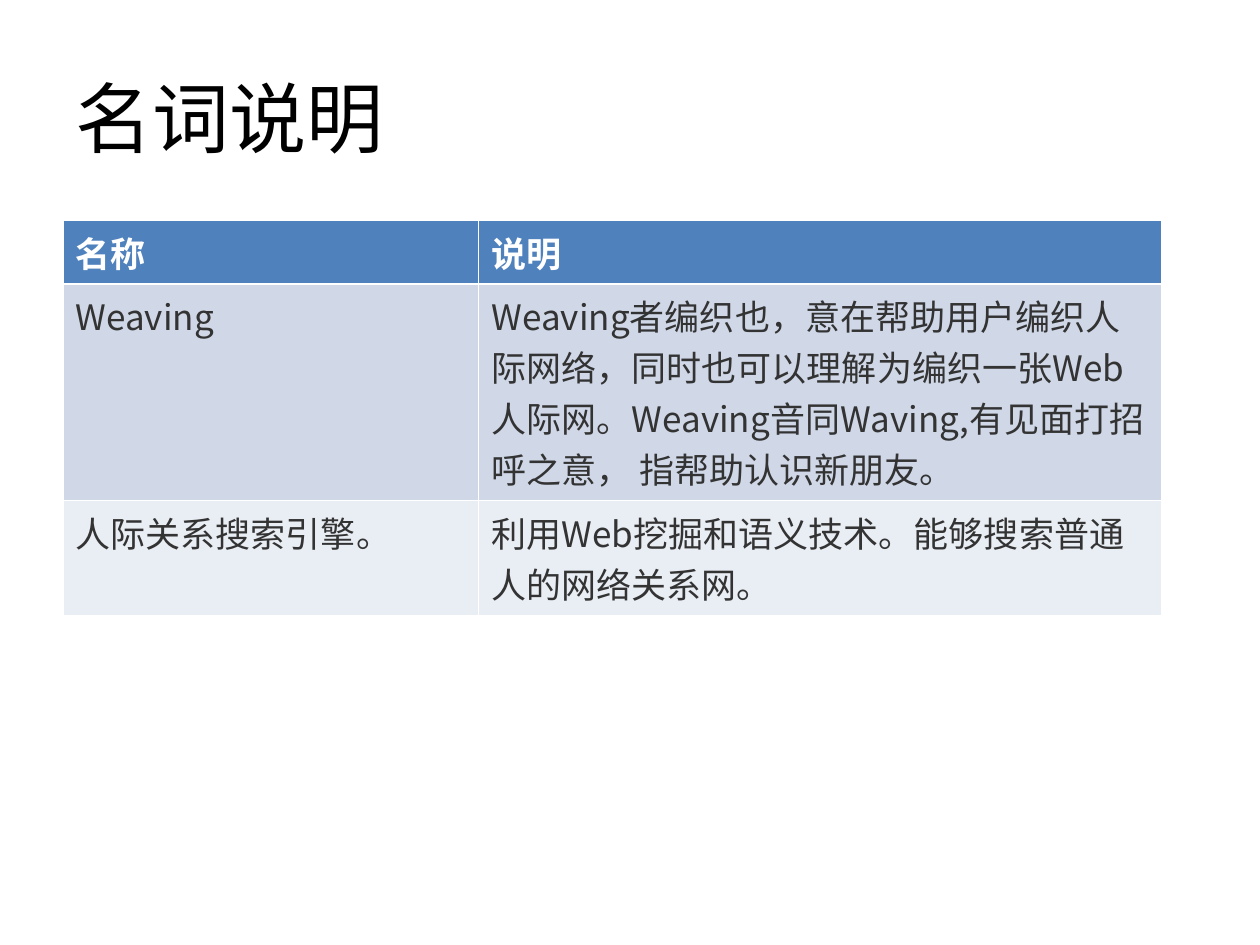
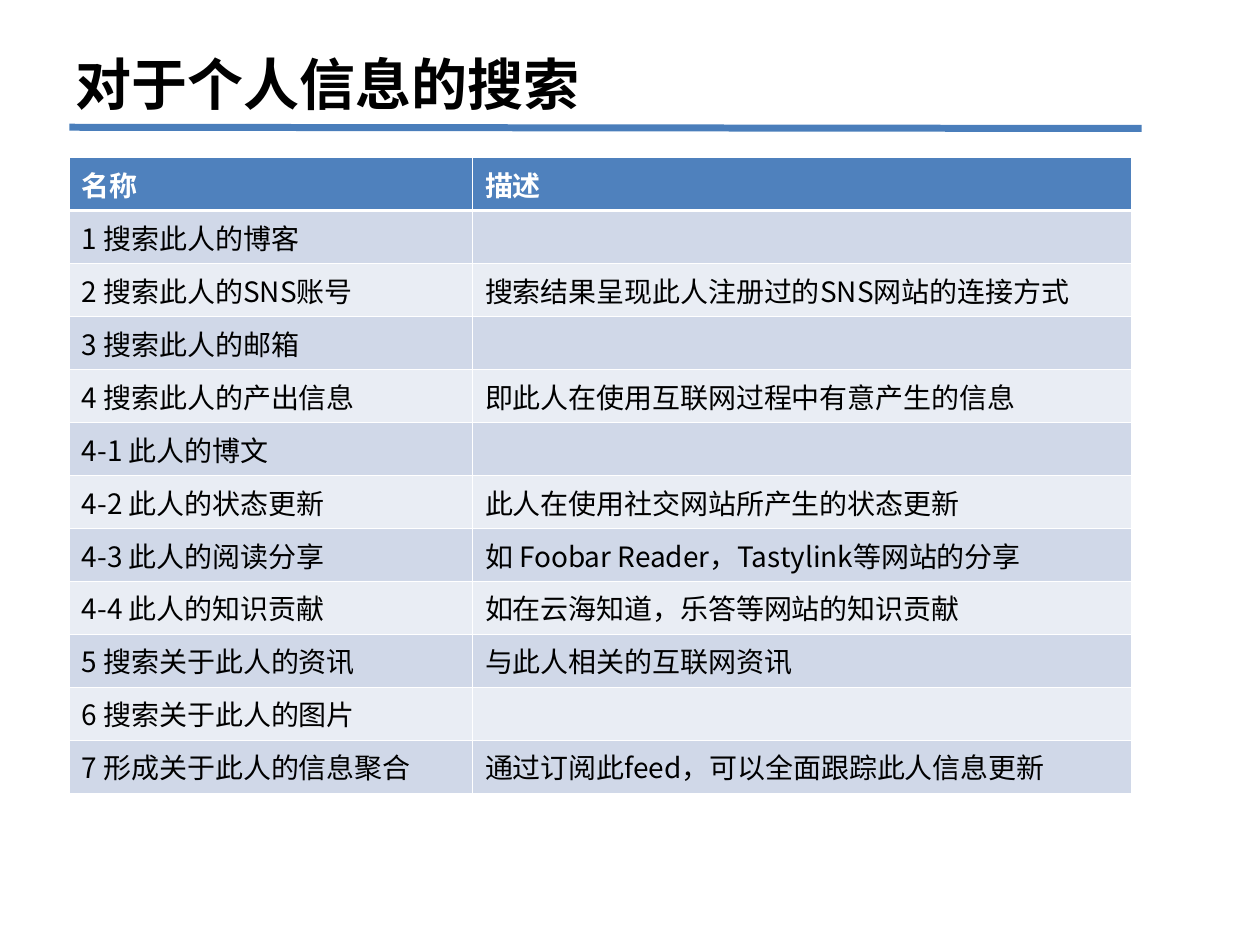
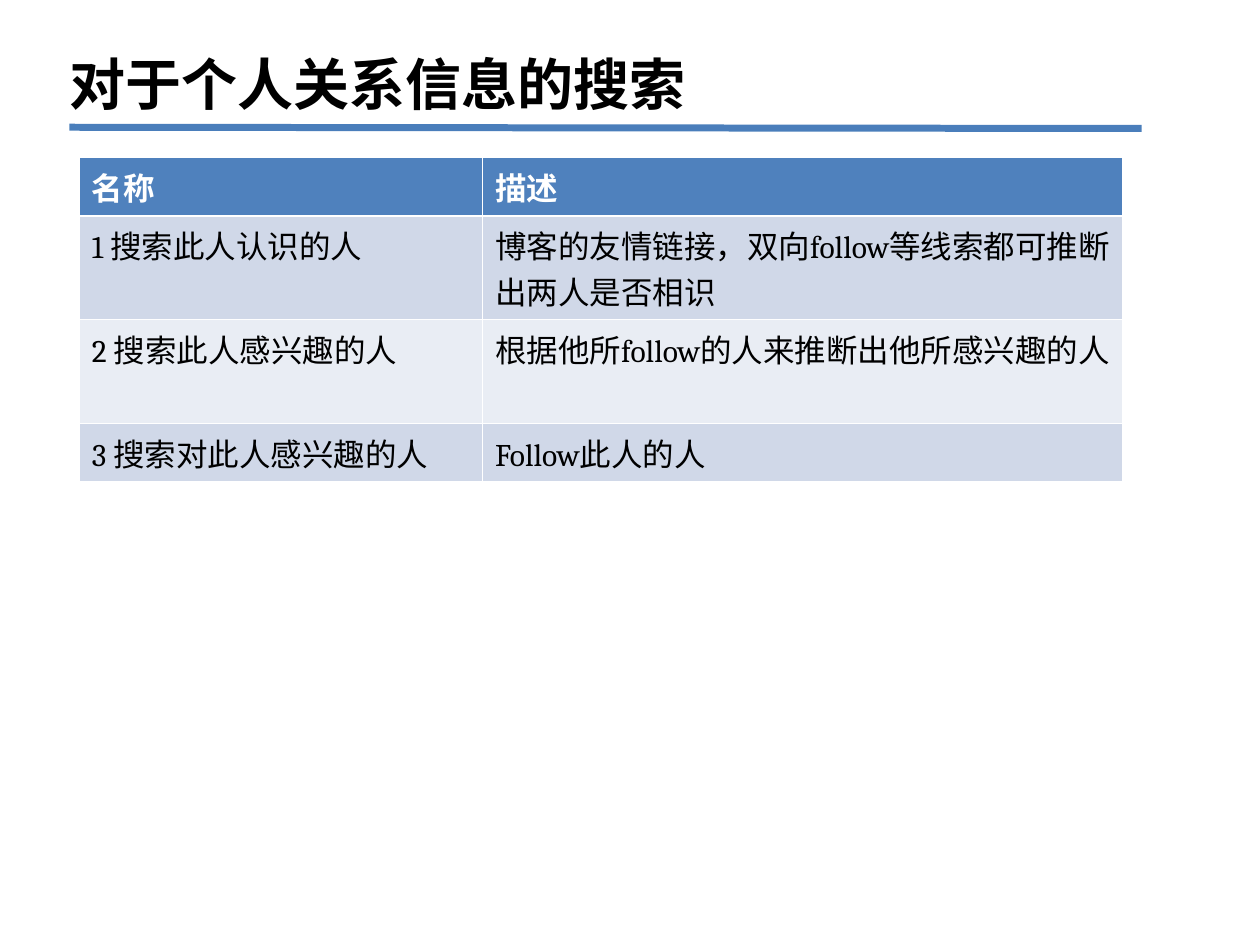
import pptx
import pptx.util
import pptx.dml.color
import pptx.enum.shapes
import pptx.enum.text
import pptx.oxml.ns
import lxml.etree

Inches = pptx.util.Inches
Pt = pptx.util.Pt
qn = pptx.oxml.ns.qn

NOTO = "Noto Sans CJK SC"
BLACK = "000000"
WHITE = "FFFFFF"
HEAD = "4F81BD"
BANDS = ("D0D8E8", "E9EDF4")
RULE = "4A7EBB"


def color(code):
    return pptx.dml.color.RGBColor.from_string(code)


class Deck:
    def __init__(self):
        self.prs = pptx.Presentation()
        self.prs.slide_width = Inches(10)
        self.prs.slide_height = Inches(7.5)
        self.slide = None

    def start(self):
        self.slide = self.prs.slides.add_slide(self.prs.slide_layouts[5])

    def add_text(self, para, text, size, font, ink, bold=False):
        run = para.add_run()
        run.text = text
        run.font.size = Pt(size)
        run.font.name = font
        run.font.bold = bold
        run.font.color.rgb = color(ink)
        east = lxml.etree.SubElement(run.font._element, qn("a:ea"))
        east.set("typeface", NOTO)

    def title(self, text, size=32, width=8.17, height=0.72, inset=0.1, bold=True):
        box = self.slide.shapes.title
        box.left, box.top = Inches(0.5), Inches(0.3)
        box.width, box.height = Inches(width), Inches(height)
        frame = box.text_frame
        frame.word_wrap = True
        frame.auto_size = pptx.enum.text.MSO_AUTO_SIZE.NONE
        frame.vertical_anchor = pptx.enum.text.MSO_ANCHOR.MIDDLE
        frame.margin_left = frame.margin_right = Inches(inset)
        para = frame.paragraphs[0]
        para.alignment = pptx.enum.text.PP_ALIGN.LEFT
        self.add_text(para, text, size, "Calibri", BLACK, bold)

    def rule(self):
        line = self.slide.shapes.add_connector(
            pptx.enum.shapes.MSO_CONNECTOR.STRAIGHT,
            Inches(0.55), Inches(1.01), Inches(9.06), Inches(1.02))
        line.line.color.rgb = color(RULE)
        line.line.width = Pt(4)
        lxml.etree.SubElement(line._element.spPr, qn("a:effectLst"))

    def edge(self, cell, side, width):
        line = lxml.etree.SubElement(cell._tc.get_or_add_tcPr(), qn("a:ln" + side))
        line.set("w", str(Pt(width)))
        fill = lxml.etree.SubElement(line, qn("a:solidFill"))
        lxml.etree.SubElement(fill, qn("a:srgbClr")).set("val", WHITE)

    def cell(self, cell, row, text, size, font, ink):
        thick = {0: "B", 1: "T"}.get(row)
        for side in "LRTB":
            self.edge(cell, side, 1.47 if side == thick else 0.45)
        cell.fill.solid()
        cell.fill.fore_color.rgb = color(BANDS[(row - 1) % 2] if row else HEAD)
        para = cell.text_frame.paragraphs[0]
        if text:
            self.add_text(para, text, size, font, ink if row else WHITE, row == 0)
        else:
            end = lxml.etree.SubElement(para._p, qn("a:endParaRPr"))
            end.set("sz", str(size * 100))

    def table(self, left, top, cols, tall, rows, size, font=NOTO, ink=BLACK):
        frame = self.slide.shapes.add_table(
            len(rows), len(cols), Inches(left), Inches(top),
            Inches(sum(cols)), Inches(sum(tall)))
        grid = frame.table
        grid.horz_banding = False
        for col, width in zip(grid.columns, cols):
            col.width = Inches(width)
        for row, height in zip(grid.rows, tall):
            row.height = Inches(height)
        for r, row in enumerate(rows):
            for c, text in enumerate(row):
                self.cell(grid.cell(r, c), r, text, size, font, ink)


TERMS = [
    ("名称", "说明"),
    ("Weaving", "Weaving者编织也，意在帮助用户编织人际网络，同时也可以理解为编织一张Web人际网。"
     "Weaving音同Waving,有见面打招呼之意， 指帮助认识新朋友。"),
    ("人际关系搜索引擎。", "利用Web挖掘和语义技术。能够搜索普通人的网络关系网。"),
]

PERSON = [
    ("名称", "描述"),
    ("1 搜索此人的博客", ""),
    ("2 搜索此人的SNS账号", "搜索结果呈现此人注册过的SNS网站的连接方式"),
    ("3 搜索此人的邮箱", ""),
    ("4 搜索此人的产出信息", "即此人在使用互联网过程中有意产生的信息"),
    ("4-1 此人的博文", ""),
    ("4-2 此人的状态更新", "此人在使用社交网站所产生的状态更新"),
    ("4-3 此人的阅读分享", "如 Foobar Reader，Tastylink等网站的分享"),
    ("4-4 此人的知识贡献", "如在云海知道，乐答等网站的知识贡献"),
    ("5 搜索关于此人的资讯", "与此人相关的互联网资讯"),
    ("6 搜索关于此人的图片", ""),
    ("7 形成关于此人的信息聚合", "通过订阅此feed，可以全面跟踪此人信息更新"),
]

LINKS = [
    ("名称", "描述"),
    ("1 搜索此人认识的人", "博客的友情链接，双向follow等线索都可推断出两人是否相识"),
    ("2 搜索此人感兴趣的人", "根据他所follow的人来推断出他所感兴趣的人"),
    ("3 搜索对此人感兴趣的人", "Follow此人的人"),
]


def main():
    deck = Deck()

    deck.start()
    deck.title("名词说明", size=44, width=9, height=1.25, bold=False)
    deck.table(0.5, 1.75, (3.3, 5.42), (0.5, 1.72, 0.91), TERMS, 20, ink="333333")

    deck.start()
    deck.title("对于个人信息的搜索")
    deck.table(0.55, 1.25, (3.2, 5.23), [0.41] * len(PERSON), PERSON, 16)
    deck.rule()

    deck.start()
    deck.title("对于个人关系信息的搜索", inset=0.05)
    deck.table(0.63, 1.25, (3.2, 5.08), (0.4, 0.7, 0.7, 0.4), LINKS, 18, font="Cambria")
    deck.rule()

    deck.prs.save("out.pptx")


if __name__ == "__main__":
    main()
